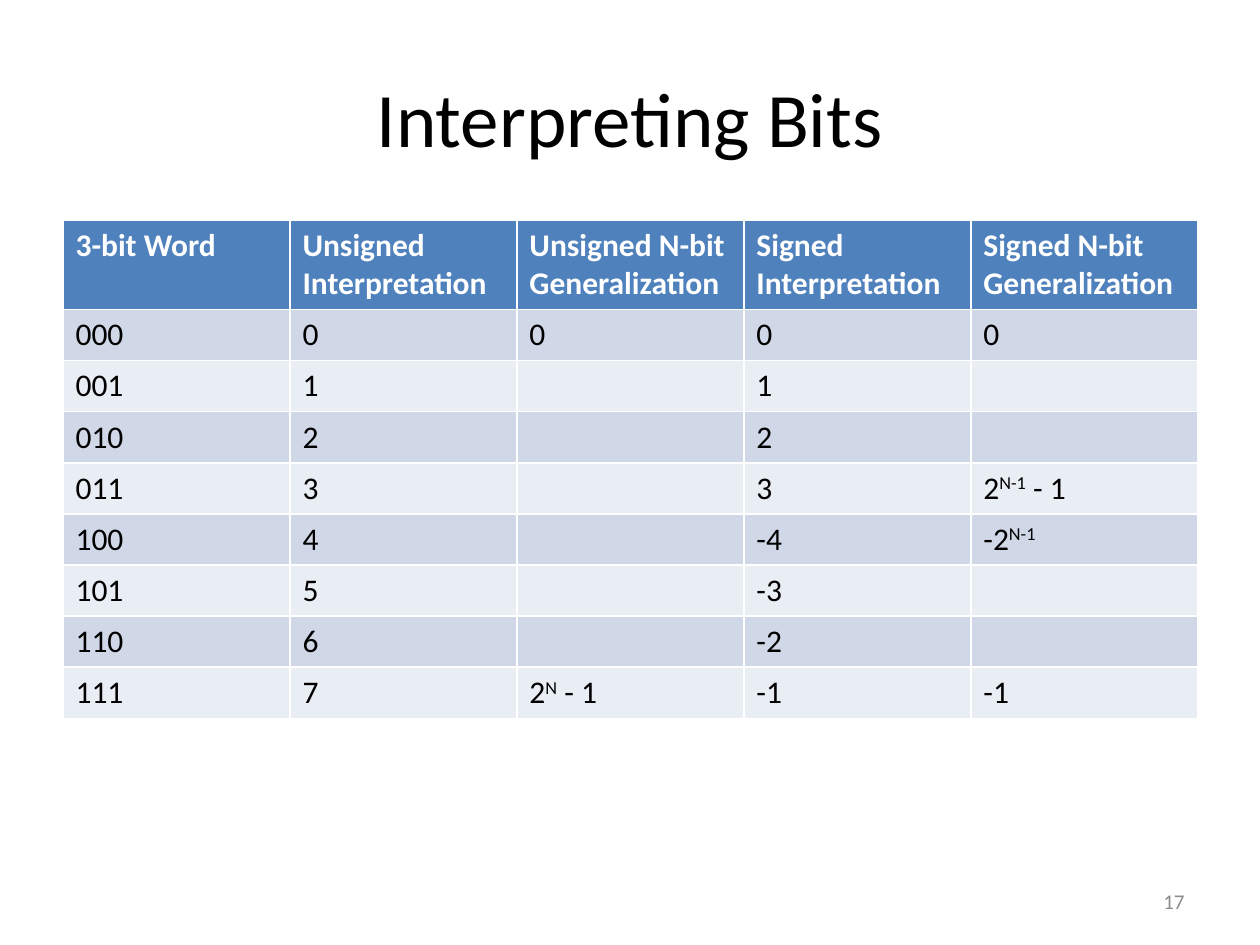
from pptx import Presentation
from pptx.dml.color import RGBColor
from pptx.enum.text import MSO_ANCHOR, PP_ALIGN
from pptx.util import Emu, Pt

MIDDLE = MSO_ANCHOR.MIDDLE
LEFT, CENTER, RIGHT = PP_ALIGN.LEFT, PP_ALIGN.CENTER, PP_ALIGN.RIGHT
TITLE_ONLY = 5
PX = 914400 // 126

TITLE = "Interpreting Bits"
PAGE_NUMBER = "17"
# Text between carets is superscript.
ROWS = [
    ("3-bit Word", "Unsigned Interpretation", "Unsigned N-bit Generalization",
     "Signed Interpretation", "Signed N-bit Generalization"),
    ("000", "0", "0", "0", "0"),
    ("001", "1", "", "1", ""),
    ("010", "2", "", "2", ""),
    ("011", "3", "", "3", "2^N-1^ - 1"),
    ("100", "4", "", "-4", "-2^N-1^"),
    ("101", "5", "", "-3", ""),
    ("110", "6", "", "-2", ""),
    ("111", "7", "2^N^ - 1", "-1", "-1"),
]
HEADER_FILL = "4F81BD"
BAND_FILLS = ("D0D8E8", "E9EDF4")
TABLE_LEFT, TABLE_TOP, COLUMN_WIDTH = 63, 220, 227
HEADER_HEIGHT, ROW_HEIGHT = 88, 51


def px(*lengths):
    return [Emu(length * PX) for length in lengths]


def color(value):
    return RGBColor.from_string(value)


def write(text_frame, text, size, font_color, align=LEFT, bold=False):
    paragraph = text_frame.paragraphs[0]
    paragraph.alignment = align
    font = paragraph.font
    font.name, font.size, font.bold = "Calibri", Pt(size), bold
    font.color.rgb = color(font_color)
    for index, part in enumerate(text.split("^")):
        if part:
            run = paragraph.add_run()
            run.text = part
            if index % 2:
                run._r.get_or_add_rPr().set("baseline", "30000")


def place(shape, left, top, width, height):
    shape.left, shape.top, shape.width, shape.height = px(left, top, width, height)


def add_bits_table(slide):
    row_count, column_count = len(ROWS), len(ROWS[0])
    height = HEADER_HEIGHT + ROW_HEIGHT * (row_count - 1)
    table = slide.shapes.add_table(
        row_count, column_count,
        *px(TABLE_LEFT, TABLE_TOP, COLUMN_WIDTH * column_count, height)).table
    for column in table.columns:
        column.width = Emu(COLUMN_WIDTH * PX)
    for row_index, texts in enumerate(ROWS):
        header = row_index == 0
        row = table.rows[row_index]
        row.height = Emu((HEADER_HEIGHT if header else ROW_HEIGHT) * PX)
        fill = HEADER_FILL if header else BAND_FILLS[(row_index - 1) % 2]
        for cell, text in zip(row.cells, texts):
            cell.fill.solid()
            cell.fill.fore_color.rgb = color(fill)
            write(cell.text_frame, text, 18, "FFFFFF" if header else "000000", bold=header)


def main():
    presentation = Presentation()
    presentation.slide_width, presentation.slide_height = px(1260, 945)
    slide = presentation.slides.add_slide(presentation.slide_layouts[TITLE_ONLY])

    title = slide.shapes.title
    place(title, 63, 38, 1134, 157)
    title.text_frame.vertical_anchor = MIDDLE
    write(title.text_frame, TITLE, 44, "000000", CENTER)

    add_bits_table(slide)

    page_number = slide.shapes.add_textbox(*px(903, 876, 294, 50))
    page_number.text_frame.word_wrap = True
    page_number.text_frame.vertical_anchor = MIDDLE
    write(page_number.text_frame, PAGE_NUMBER, 12, "8C8C8C", RIGHT)

    presentation.save("out.pptx")


if __name__ == "__main__":
    main()
